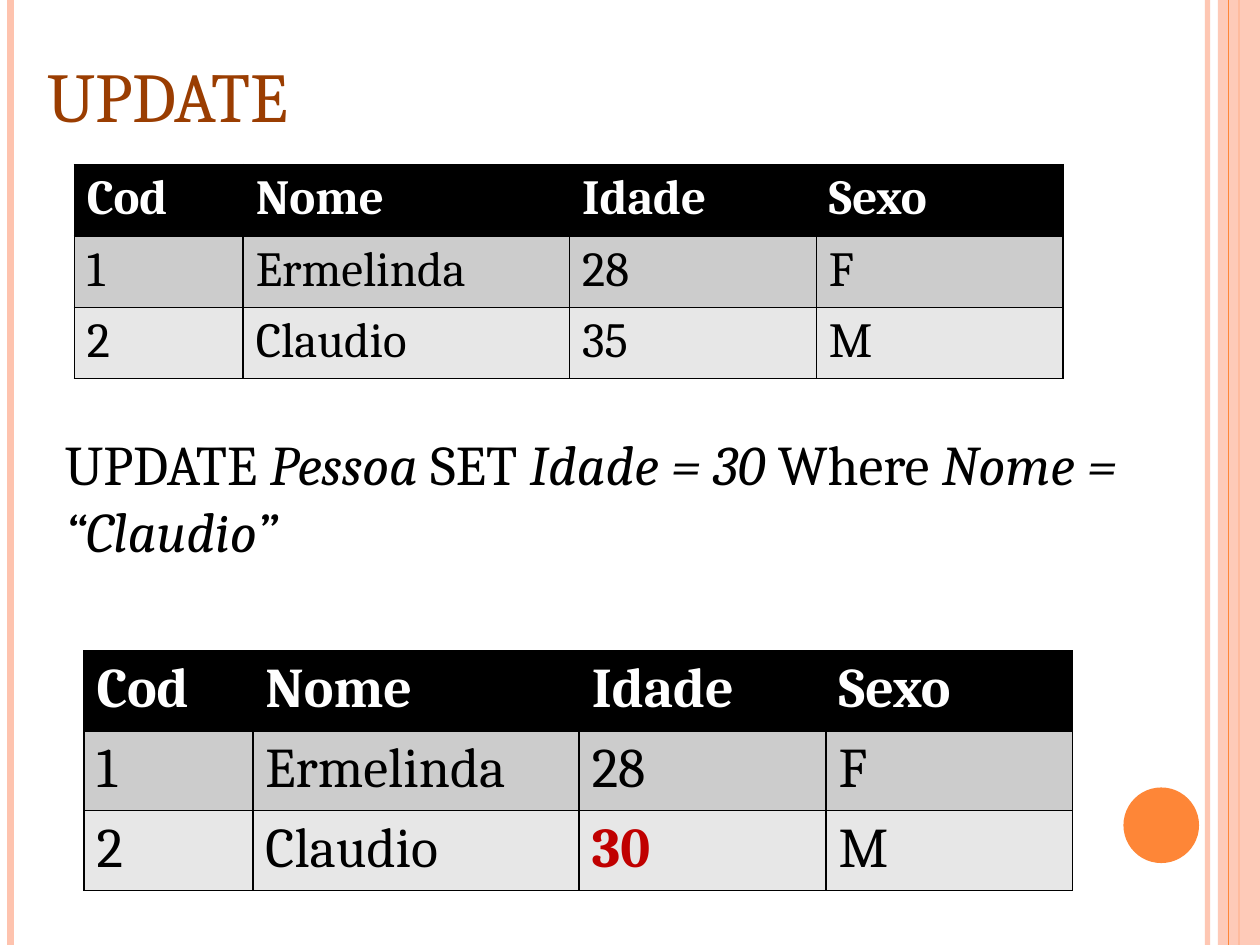
from dataclasses import dataclass

from lxml import etree
from pptx import Presentation
from pptx.dml.color import RGBColor
from pptx.enum.shapes import MSO_CONNECTOR, MSO_SHAPE
from pptx.enum.text import MSO_ANCHOR, MSO_AUTO_SIZE, PP_ALIGN
from pptx.oxml.ns import qn
from pptx.util import Pt

STRAIGHT = MSO_CONNECTOR.STRAIGHT
RECT, OVAL = MSO_SHAPE.RECTANGLE, MSO_SHAPE.OVAL
TOP, LEFT = MSO_ANCHOR.TOP, PP_ALIGN.LEFT
NO_FIT = MSO_AUTO_SIZE.NONE

WIDTH, HEIGHT = 720, 540
TITLE_ONLY = 5


@dataclass(frozen=True)
class Theme:
    font: str = "Cambria"
    title: str = "9A3D01"
    text: str = "000000"
    header_text: str = "FFFFFF"
    header_fill: str = "000000"
    bands: tuple = ("CCCCCC", "E7E7E7")
    border: str = "000000"
    changed: str = "C00000"
    peach: str = "FEC3AE"
    orange: str = "FE8637"
    title_size: int = 40
    body_size: int = 32
    small_size: int = 28


THEME = Theme()


def add_run(p, text, size, color, bold=False, italic=False):
    r = p.add_run()
    r.text = text
    font = r.font
    font.name, font.size = THEME.font, Pt(size)
    font.bold, font.italic = bold, italic
    font.color.rgb = RGBColor.from_string(color)


def set_alpha(element, percent):
    color = next(element.iter(qn("a:srgbClr")))
    etree.SubElement(color, qn("a:alpha"), val=str(percent * 1000))


def set_borders(cell, color, width):
    tc_pr = cell._tc.get_or_add_tcPr()
    for i, side in enumerate(("a:lnL", "a:lnR", "a:lnT", "a:lnB")):
        ln = etree.Element(qn(side), w=str(Pt(width)))
        fill = etree.SubElement(ln, qn("a:solidFill"))
        etree.SubElement(fill, qn("a:srgbClr"), val=color)
        tc_pr.insert(i, ln)  # borders come before the fill


class SlideBuilder:
    def __init__(self, prs, theme):
        self.theme = theme
        self.s = prs.slides.add_slide(prs.slide_layouts[TITLE_ONLY])

    def vertical_line(self, x, color, width, alpha=100):
        line = self.s.shapes.add_connector(STRAIGHT, Pt(x), 0, Pt(x), Pt(HEIGHT))
        line.line.color.rgb = RGBColor.from_string(color)
        line.line.width = Pt(width)
        sp_pr = line._element.spPr
        etree.SubElement(sp_pr, qn("a:effectLst"))
        if alpha < 100:
            set_alpha(sp_pr, alpha)

    def shape(self, kind, x, y, w, h, color, alpha=100):
        sp = self.s.shapes.add_shape(kind, Pt(x), Pt(y), Pt(w), Pt(h))
        sp.shadow.inherit = False
        sp.fill.solid()
        sp.fill.fore_color.rgb = RGBColor.from_string(color)
        sp.line.fill.background()
        if alpha < 100:
            set_alpha(sp._element.spPr, alpha)

    def title(self, text, x, y, w, h):
        sp = self.s.shapes.title
        sp.left, sp.top, sp.width, sp.height = Pt(x), Pt(y), Pt(w), Pt(h)
        tf = sp.text_frame
        tf.word_wrap, tf.auto_size, tf.vertical_anchor = False, NO_FIT, TOP
        p = tf.paragraphs[0]
        p.alignment = LEFT
        add_run(p, text, self.theme.title_size, self.theme.title)

    def statement(self, parts, x, y, w, h):
        """Write one paragraph from (text, italic) parts."""
        tf = self.s.shapes.add_textbox(Pt(x), Pt(y), Pt(w), Pt(h)).text_frame
        tf.word_wrap = True
        for text, italic in parts:
            add_run(tf.paragraphs[0], text, self.theme.body_size,
                    self.theme.text, italic=italic)

    def table(self, rows, x, y, col_widths, row_height, size, changed=None):
        """Draw a banded table; changed is the (row, column) to highlight."""
        t = self.theme
        table = self.s.shapes.add_table(
            len(rows), len(col_widths), Pt(x), Pt(y),
            Pt(sum(col_widths)), Pt(row_height * len(rows))).table
        for col, width in zip(table.columns, col_widths):
            col.width = Pt(width)
        for i, values in enumerate(rows):
            table.rows[i].height = Pt(row_height)
            header = i == 0
            fill = t.header_fill if header else t.bands[(i - 1) % 2]
            for j, value in enumerate(values):
                cell = table.cell(i, j)
                cell.fill.solid()
                cell.fill.fore_color.rgb = RGBColor.from_string(fill)
                set_borders(cell, t.border, 1)
                marked = (i, j) == changed
                color = t.header_text if header else t.changed if marked else t.text
                add_run(cell.text_frame.paragraphs[0], value, size, color,
                        bold=header or marked)


def main():
    prs = Presentation()
    prs.slide_width, prs.slide_height = Pt(WIDTH), Pt(HEIGHT)
    b = SlideBuilder(prs, THEME)

    # Side stripes and disc
    b.vertical_line(690, THEME.peach, 3, alpha=93)
    b.vertical_line(6, THEME.peach, 4.5)
    b.vertical_line(708, THEME.orange, 1.5)
    b.shape(RECT, 696, 0, 24, HEIGHT, THEME.peach, alpha=87)
    b.vertical_line(702, THEME.orange, 0.75)
    b.shape(OVAL, 642, 450, 43.2, 43.2, THEME.orange)

    b.title("UPDATE", 20, 26.5, 191, 55.5)

    # Table before the update
    columns = (96.5, 186.5, 141, 141)
    header = ("Cod", "Nome", "Idade", "Sexo")
    first = ("1", "Ermelinda", "28", "F")
    b.table((header, first, ("2", "Claudio", "35", "M")),
            42.5, 94, columns, 40.8, THEME.small_size)

    # SQL statement
    b.statement((("UPDATE ", False), ("Pessoa", True), (" SET ", False),
                 ("Idade = 30 ", True), ("Where ", False),
                 ("Nome = “Claudio”", True)), 30, 242, 641, 85)

    # Table after the update
    b.table((header, first, ("2", "Claudio", "30", "M")),
            48, 372, columns, 45.6, THEME.body_size, changed=(2, 2))

    prs.save("out.pptx")


if __name__ == "__main__":
    main()
